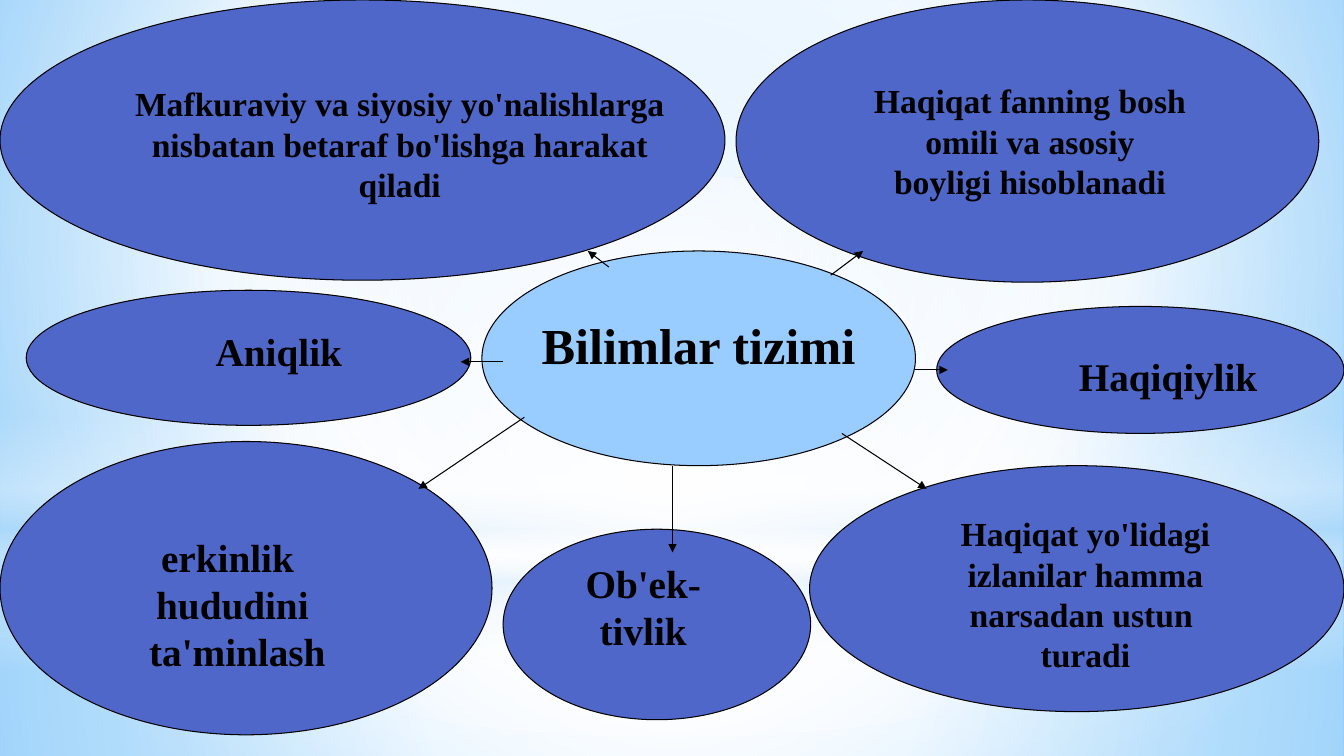
from lxml import etree
from pptx import Presentation
from pptx import util as u
from pptx.dml import color
from pptx.enum import shapes, text
from pptx.oxml import ns

PX = 9144
WIDTH, HEIGHT = 1333, 750
FONT = "Times New Roman"
BLACK, BLUE, SKY, WHITE, PALE = "000000", "4E67C8", "99CCFF", "FFFFFF", "B4DCFA"
RECTANGLE, OVAL = shapes.MSO_SHAPE.RECTANGLE, shapes.MSO_SHAPE.OVAL
CENTRE = (50, 50, 50, 50)

GLOWS = [
    (RECTANGLE, (0, 558, WIDTH, 192), [(0, WHITE, 91), (37, WHITE, 76), (100, PALE, 79)], CENTRE),
    (RECTANGLE, (0, 0, WIDTH, 558), [(0, WHITE, 89), (48, WHITE, 62), (100, PALE, 79)], CENTRE),
    (RECTANGLE, (0, 412, WIDTH, 250),
     [(0, WHITE, 0), (29, WHITE, 30), (45, PALE, 40), (55, WHITE, 26), (65, PALE, 60), (100, WHITE, 0)], None),
    (OVAL, (0, 175, WIDTH, 558), [(0, WHITE, 100), (56, WHITE, 0)], CENTRE),
]

BUBBLES = [
    ((478, 249, 430, 213), SKY, (0, 59, 430, 68), 36, ["Bilimlar tizimi"]),
    ((730, 0, 578, 280), BLUE, (-21, 74, 625, 131), 24,
     ["Hаqiqаt fаnning bоsh", " оmili vа аsоsiy ", "bоyligi hisоblаnаdi"]),
    ((929, 304, 404, 126), BLUE, (-10, 40, 479, 57), 28, ["Hаqiqiylik"]),
    ((803, 462, 530, 244), BLUE, (-31, 41, 609, 172), 24,
     ["Hаqiqаt yo'lidаgi", " izlаnilаr hаmmа ", "nаrsаdаn ustun ", "turаdi"]),
    ((0, 438, 488, 291), BLUE, (-37, 86, 535, 150), 28, ["erkinlik ", "hududini", " tа'minlаsh"]),
    ((26, 288, 441, 134), BLUE, (11, 32, 479, 57), 28, ["Аniqlik"]),
    ((499, 525, 305, 189), BLUE, (-84, 25, 446, 103), 28, ["Оb'еk-", "tivlik"]),
    ((0, 0, 719, 278), BLUE, (100, 77, 593, 131), 24,
     ["Mаfkurаviy vа siyosiy yo'nаlishlаrgа nisbаtаn bеtаrаf bo'lishgа hаrаkаt qilаdi"]),
]

ARROWS = [
    (520, 414, 415, 485),
    (499, 359, 457, 359),
    (667, 462, 667, 548),
    (835, 430, 919, 485),
    (908, 367, 940, 367),
    (824, 273, 856, 249),
    (604, 265, 583, 249),
]


def px(*lengths):
    return [length * PX for length in lengths]


def rgb(value):
    return color.RGBColor.from_string(value)


def add_child(parent, tag, **attributes):
    return etree.SubElement(parent, ns.qn(tag), {key: str(value) for key, value in attributes.items()})


def set_gradient(fill, owner, stops, focus):
    fill.gradient()
    gradient = owner._element.find(".//" + ns.qn("a:gradFill"))
    for child in list(gradient):
        gradient.remove(child)
    stop_list = add_child(gradient, "a:gsLst")
    for position, value, opacity in stops:
        stop = add_child(stop_list, "a:gs", pos=position * 1000)
        tint = add_child(stop, "a:srgbClr", val=value)
        if opacity < 100:
            add_child(tint, "a:alpha", val=opacity * 1000)
    if focus is None:
        add_child(gradient, "a:lin", ang=5400000, scaled=0)
    else:
        circle = add_child(gradient, "a:path", path="circle")
        add_child(circle, "a:fillToRect", **{side: part * 1000 for side, part in zip("ltrb", focus)})


def draw_backdrop(slide):
    stops = [(0, "9ED5FF", 100), (60, WHITE, 100), (100, "5BB9FF", 100)]
    set_gradient(slide.background.fill, slide, stops, (20, 10, 20, 60))
    for kind, box, glow_stops, focus in GLOWS:
        shape = slide.shapes.add_shape(kind, *px(*box))
        shape.shadow.inherit = False
        shape.line.fill.background()
        set_gradient(shape.fill, shape, glow_stops, focus)


def draw_bubble(slide, box, fill, label, size, lines):
    shape = slide.shapes.add_shape(OVAL, *px(*box))
    shape.shadow.inherit = False
    shape.fill.solid()
    shape.fill.fore_color.rgb = rgb(fill)
    shape.line.color.rgb = rgb(BLACK)
    shape.line.width = u.Pt(0.75)

    left, top, width, height = label
    text_box = slide.shapes.add_textbox(*px(box[0] + left, box[1] + top, width, height))
    frame = text_box.text_frame
    frame.word_wrap = True
    frame.auto_size = text.MSO_AUTO_SIZE.SHAPE_TO_FIT_TEXT
    frame.vertical_anchor = text.MSO_ANCHOR.MIDDLE
    for index, line in enumerate(lines):
        paragraph = frame.add_paragraph() if index else frame.paragraphs[0]
        paragraph.alignment = text.PP_ALIGN.CENTER
        run = paragraph.add_run()
        run.text = line
        run.font.name = FONT
        run.font.size = u.Pt(size)
        run.font.bold = True
        run.font.color.rgb = rgb(BLACK)


def draw_arrow(slide, ends):
    connector = slide.shapes.add_connector(shapes.MSO_CONNECTOR.STRAIGHT, *px(*ends))
    connector.line.color.rgb = rgb(BLACK)
    connector.line.width = u.Pt(0.75)
    add_child(connector.line._get_or_add_ln(), "a:tailEnd", type="triangle")
    add_child(connector._element.spPr, "a:effectLst")


def main():
    presentation = Presentation()
    presentation.slide_width, presentation.slide_height = px(WIDTH, HEIGHT)
    slide = presentation.slides.add_slide(presentation.slide_layouts[6])
    draw_backdrop(slide)
    for bubble in BUBBLES:
        draw_bubble(slide, *bubble)
    for ends in ARROWS:
        draw_arrow(slide, ends)
    presentation.save("out.pptx")


if __name__ == "__main__":
    main()
